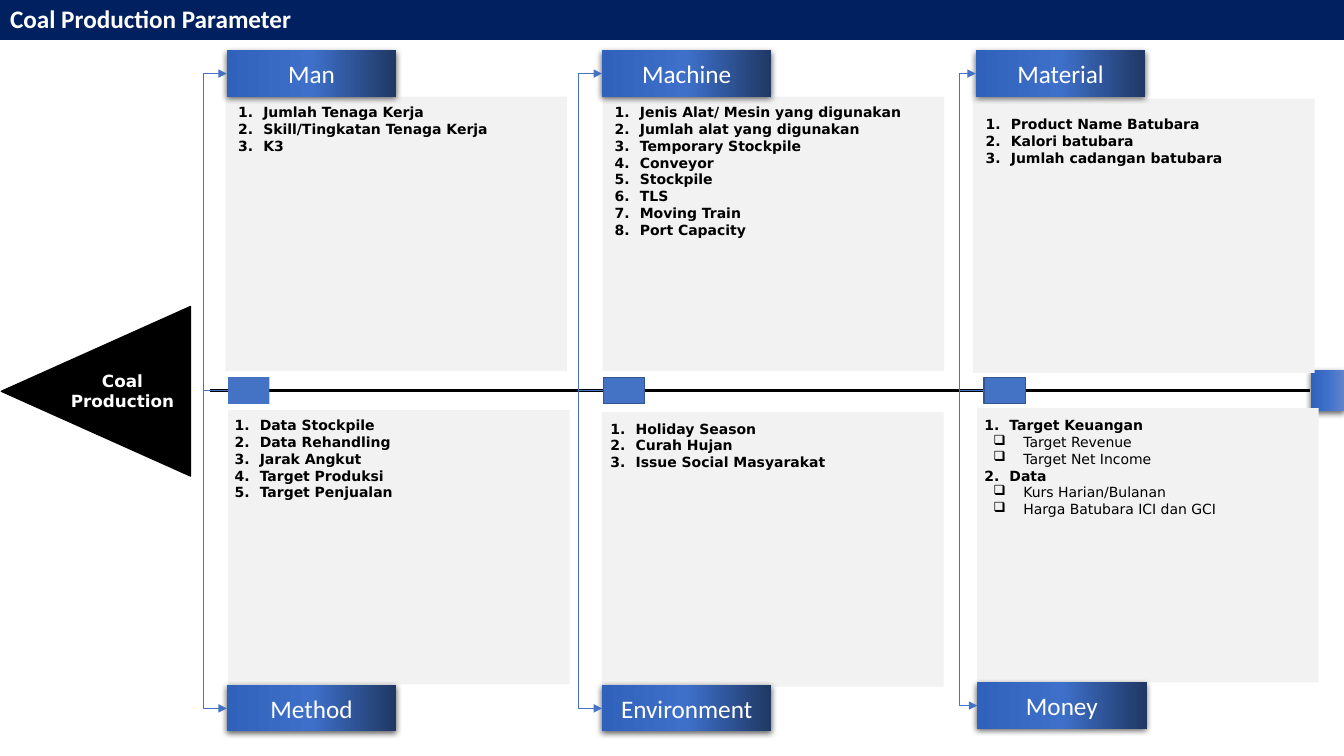
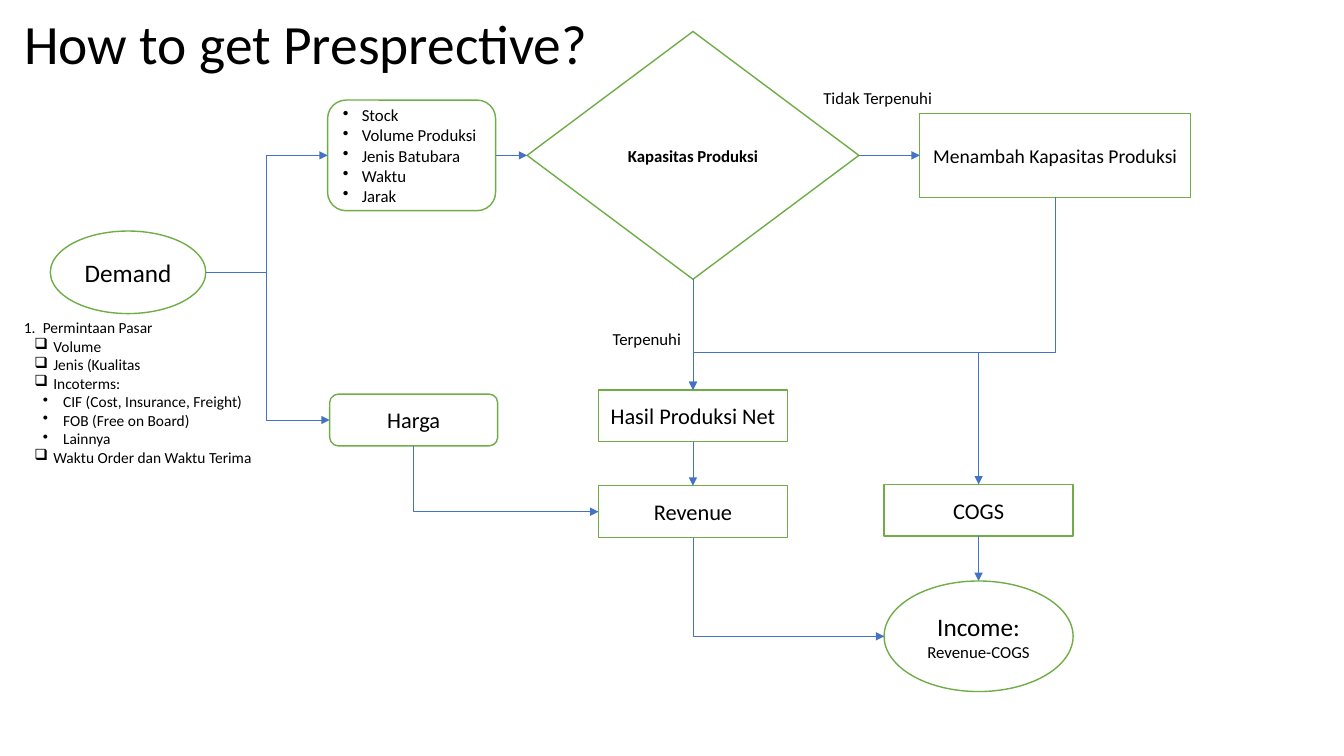
from dataclasses import dataclass
from typing import Optional

from pptx import Presentation
from pptx.dml.color import RGBColor
from pptx.enum.shapes import MSO_CONNECTOR as Conn, MSO_SHAPE as Form
from pptx.enum.text import MSO_ANCHOR as Anchor, MSO_AUTO_SIZE as Auto, PP_ALIGN as Align
from pptx.oxml import parse_xml
from pptx.oxml.ns import nsdecls, qn
from pptx.util import Pt

# Shared colours and fonts
NAVY, BLUE, EDGE, GREEN = "002060", "4472C4", "325491", "70AD47"
BLACK, WHITE, PALE = "000000", "FFFFFF", "F2F2F2"
HEAD = (("3062BB", 0), ("3E70CA", 50), ("203864", 100))
KNOB = (("3062BB", 0), ("3E70CA", 50), ("6183CB", 100))
SANS, WIDE = "Calibri", "DejaVu Sans"
SIDES = "tlbr"


@dataclass
class Mark:
    """A bullet: its sign (None counts 1, 2, 3), indent and level."""
    sign: Optional[str]
    left: float
    hang: float
    level: int = 0


@dataclass
class Line:
    """One paragraph and its look."""
    text: str
    size: float = 12
    bold: bool = False
    mark: Optional[Mark] = None
    align: Align = Align.LEFT
    face: str = SANS
    tone: str = BLACK


def hue(code):
    return RGBColor.from_string(code)


def make(tag, **attrs):
    bits = " ".join(f'{key}="{val}"' for key, val in attrs.items())
    return parse_xml(f'<a:{tag} {nsdecls("a")} {bits}/>')


def tint(tag, code, **attrs):
    """An element that holds one colour."""
    node = make(tag, **attrs)
    node.append(make("srgbClr", val=code))
    return node


def spot(shape, side):
    """The middle of one side of a shape."""
    mid_x, mid_y = shape.left + shape.width // 2, shape.top + shape.height // 2
    return {"t": (mid_x, shape.top), "l": (shape.left, mid_y),
            "b": (mid_x, shape.top + shape.height),
            "r": (shape.left + shape.width, mid_y)}[side]


class Deck:
    def __init__(self):
        self.show = Presentation()
        self.show.slide_width, self.show.slide_height = Pt(960), Pt(540)
        self.slide = None

    def page(self, title, box, size, tone, bold=False, fill=None):
        """Start a slide and place its title."""
        self.slide = self.show.slides.add_slide(self.show.slide_layouts[5])
        head = self.slide.shapes.title
        head.left, head.top, head.width, head.height = map(Pt, box)
        if fill:
            head.fill.solid()
            head.fill.fore_color.rgb = hue(fill)
        head.text_frame.auto_size = Auto.NONE
        self.put(head, [Line(title, size, bold, tone=tone)])
        head.text_frame.vertical_anchor = Anchor.MIDDLE
        head.text_frame.paragraphs[0].line_spacing = 0.9

    def put(self, shape, lines):
        """Fill a shape with paragraphs."""
        frame = shape.text_frame
        frame.word_wrap = True
        for num, line in enumerate(lines):
            par = frame.add_paragraph() if num else frame.paragraphs[0]
            par.text, par.alignment = line.text, line.align
            if line.mark:
                self.bullet(par, line.mark)
            font = par.font
            font.name, font.size, font.bold = line.face, Pt(line.size), line.bold
            font.color.rgb = hue(line.tone)

    def bullet(self, par, mark):
        par.level = mark.level
        props = par._p.get_or_add_pPr()
        props.set("marL", str(Pt(mark.left)))
        props.set("indent", str(-Pt(mark.hang)))
        if mark.sign:
            props.append(make("buChar", char=mark.sign))
        else:
            props.append(make("buAutoNum", type="arabicPeriod"))

    def text(self, x, y, wide, lines):
        tall = 7.2 + sum(line.size * 1.2 for line in lines)
        box = self.slide.shapes.add_textbox(Pt(x), Pt(y), Pt(wide), Pt(tall))
        self.put(box, lines)

    def shape(self, form, box, fill, line=None, lines=()):
        item = self.slide.shapes.add_shape(form, *map(Pt, box))
        item.shadow.inherit = False
        item.fill.solid()
        item.fill.fore_color.rgb = hue(fill)
        if line:
            item.line.color.rgb = hue(line)
            item.line.width = Pt(1)
        else:
            item.line.fill.background()
        self.put(item, lines)
        return item

    def glow(self, box, stops, lines=()):
        """A block with a gradient from left to right and a soft shadow."""
        item = self.shape(Form.RECTANGLE, box, BLUE, lines=lines)
        item.fill.gradient()
        item.fill.gradient_angle = 0
        props = item.element.spPr
        ramp = props.find(".//" + qn("a:gsLst"))
        for old in list(ramp):
            ramp.remove(old)
        for code, pos in stops:
            ramp.append(tint("gs", code, pos=pos * 1000))
        shade = tint("outerShdw", BLACK, blurRad=Pt(4.5), dist=Pt(1.5),
                     dir=5400000, algn="ctr", rotWithShape=0)
        shade[0].append(make("alpha", val=63000))
        props.find(qn("a:effectLst")).append(shade)
        return item

    def rule(self, kind, ends, tone, width, arrow=False):
        line = self.slide.shapes.add_connector(kind, *ends)
        line.line.color.rgb = hue(tone)
        line.line.width = Pt(width)
        props = line.element.spPr
        if arrow:
            props.find(qn("a:ln")).append(make("tailEnd", type="triangle"))
        props.append(make("effectLst"))
        return line

    def join(self, start, out, end, into, turn=None):
        """An arrow between two sides; turn is where its middle leg lies."""
        (x1, y1), (x2, y2) = spot(start, out), spot(end, into)
        flat = x1 == x2 or y1 == y2
        kind = Conn.STRAIGHT if flat else Conn.ELBOW
        line = self.rule(kind, (x1, y1, x2, y2), BLUE, 0.5, True)

        # Glue the ends; an ellipse has two sites for each side
        for glue, item, side, tag in ((line.begin_connect, start, out, "a:stCxn"),
                                      (line.end_connect, end, into, "a:endCxn")):
            site = SIDES.index(side)
            glue(item, site)
            if item.auto_shape_type == Form.OVAL:
                line.element.find(".//" + qn(tag)).set("idx", str(site * 2))

        # Turn the route so that it leaves by the right side
        wide, tall = abs(x2 - x1), abs(y2 - y1)
        down = not flat and out in "tb"
        back = x2 < x1
        if down:
            rot, flips = (90, (False, False)) if back else (270, (True, False))
            wide, tall = tall, wide
        else:
            rot, flips = 180 if back else 0, (False, (y2 < y1) != back)
        line.left, line.top = (x1 + x2 - wide) // 2, (y1 + y2 - tall) // 2
        line.width, line.height = wide, tall
        frame = line.element.spPr.find(qn("a:xfrm"))
        frame.set("rot", str(rot * 60000))
        for key, flip in zip(("flipH", "flipV"), flips):
            frame.set(key, str(int(flip)))

        geom = line.element.spPr.find(qn("a:prstGeom"))
        if down and into in "lr":
            geom.set("prst", "bentConnector2")
        elif turn is not None:
            first, last = (y1, y2) if down else (x1, x2)
            part = round((Pt(turn) - first) / (last - first) * 100000)
            geom[0].append(make("gd", name="adj1", fmla=f"val {part}"))


NUM, SUB = Mark(None, 18, 18), Mark("❑", 28, 21.5, 1)


def count(*texts):
    return [Line(text, 10, True, NUM, face=WIDE) for text in texts]


def tick(*texts):
    return [Line(text, 10, False, SUB, face=WIDE) for text in texts]


# Name, header corner, panel corner, list corner, list
TOP = (
    ("Man", (162, 36), (161, 69), (163, 70.5),
     count("Jumlah Tenaga Kerja", "Skill/Tingkatan Tenaga Kerja", "K3")),
    ("Machine", (430, 36), (430.5, 69), (432, 70.5),
     count("Jenis Alat/ Mesin yang digunakan", "Jumlah alat yang digunakan",
           "Temporary Stockpile", "Conveyor", "Stockpile", "TLS",
           "Moving Train", "Port Capacity")),
    ("Material", (697, 36), (695, 70.5), (697, 79),
     count("Product Name Batubara", "Kalori batubara",
           "Jumlah cadangan batubara")),
)
LOW = (
    ("Method", (162, 489.5), (163, 293), (160.5, 294),
     count("Data Stockpile", "Data Rehandling", "Jarak Angkut",
           "Target Produksi", "Target Penjualan")),
    ("Environment", (430, 489.5), (430, 294.5), (429, 296.5),
     count("Holiday Season", "Curah Hujan", "Issue Social Masyarakat")),
    ("Money", (698, 487.5), (698, 291.5), (696, 294),
     count("Target Keuangan") + tick("Target Revenue", "Target Net Income")
     + count("Data") + tick("Kurs Harian/Bulanan", "Harga Batubara ICI dan GCI")),
)


def causes(deck):
    deck.page("Coal Production Parameter", (0, 0, 960, 28.5), 18, WHITE, True, NAVY)

    # Fish head, spine and tail
    nose = deck.shape(Form.ISOSCELES_TRIANGLE, (8, 212, 121, 135), BLACK, BLACK)
    nose.rotation = 270
    deck.text(25, 261, 125, [Line(word, 12, True, None, Align.CENTER, WIDE, WHITE)
                             for word in ("Coal", "Production")])
    deck.glow((936.5, 264.5, 23.5, 29), KNOB)
    deck.rule(Conn.STRAIGHT, map(Pt, (150, 279, 936, 279)), BLACK, 2.25)

    # One marker a column, with a bone to each header
    for x, turn, edge, pair in zip((163, 431, 703), (145, 413, 685),
                                   (None, EDGE, EDGE), zip(TOP, LOW)):
        knot = deck.shape(Form.RECTANGLE, (x, 269.5, 29.5, 19), BLUE, edge)
        for name, head, panel, place, lines in pair:
            deck.shape(Form.RECTANGLE, (*panel, 244, 196), PALE)
            label = Line(name, 18, align=Align.CENTER, tone=WHITE)
            block = deck.glow((*head, 121, 33), HEAD, [label])
            deck.join(knot, "l", block, "l", turn)
            deck.text(*place, 236, lines)


def flow(deck):
    deck.page("How to get Presprective?", (10, 14.5, 828, 37.5), 39.6, BLACK)

    def node(form, box, text, size=16, bold=False, more=()):
        first = Line(text, size, bold, align=Align.CENTER)
        return deck.shape(form, box, WHITE, GREEN, [first, *more])

    # Boxes
    dot = Mark("•", 13.5, 13.5)
    need = node(Form.OVAL, (36, 165, 111, 59), "Demand", 18)
    stock = deck.shape(
        Form.ROUNDED_RECTANGLE, (234, 71.5, 120, 79), WHITE, GREEN,
        [Line(text, mark=dot) for text in
         ("Stock", "Volume Produksi", "Jenis Batubara", "Waktu", "Jarak")])
    price = node(Form.ROUNDED_RECTANGLE, (235.5, 281.5, 120, 37), "Harga")
    test = node(Form.DIAMOND, (376.5, 22.5, 237, 177), "Kapasitas Produksi", 12, True)
    grow = node(Form.RECTANGLE, (657, 81, 193.5, 60), "Menambah Kapasitas Produksi", 14)
    net = node(Form.RECTANGLE, (427.5, 278.5, 135, 37), "Hasil Produksi Net")
    sales = node(Form.RECTANGLE, (427.5, 347, 135, 37), "Revenue")
    cost = node(Form.RECTANGLE, (631.5, 346, 135, 37), "COGS")
    gain = node(Form.OVAL, (631.5, 415, 135, 79), "Income:", 18,
                more=[Line("Revenue-COGS", align=Align.CENTER)])

    # Arrows
    for link in ((need, "r", stock, "l", 190.5), (need, "r", price, "l", 190.5),
                 (stock, "r", test, "l"), (test, "r", grow, "l"),
                 (grow, "b", net, "t", 251.5), (test, "b", net, "t"),
                 (test, "b", cost, "t", 251.5), (price, "b", sales, "l"),
                 (net, "b", sales, "t"), (cost, "b", gain, "t"),
                 (sales, "b", gain, "l")):
        deck.join(*link)

    # Labels and notes on demand
    deck.text(430.5, 231, 70, [Line("Terpenuhi")])
    deck.text(581, 59, 101, [Line("Tidak Terpenuhi")])
    one, box, sub = Mark(None, 13.5, 13.5), Mark("❑", 21, 13.5), Mark("•", 28, 14.5, 1)
    deck.text(10, 224, 191.5, [Line(text, 11, mark=mark) for text, mark in (
        ("Permintaan Pasar", one), ("Volume", box), ("Jenis (Kualitas", box),
        ("Incoterms:", box), ("CIF (Cost, Insurance, Freight)", sub),
        ("FOB (Free on Board)", sub), ("Lainnya", sub),
        ("Waktu Order dan Waktu Terima", box))])


def main():
    deck = Deck()
    causes(deck)
    flow(deck)
    deck.show.save("out.pptx")


if __name__ == "__main__":
    main()
